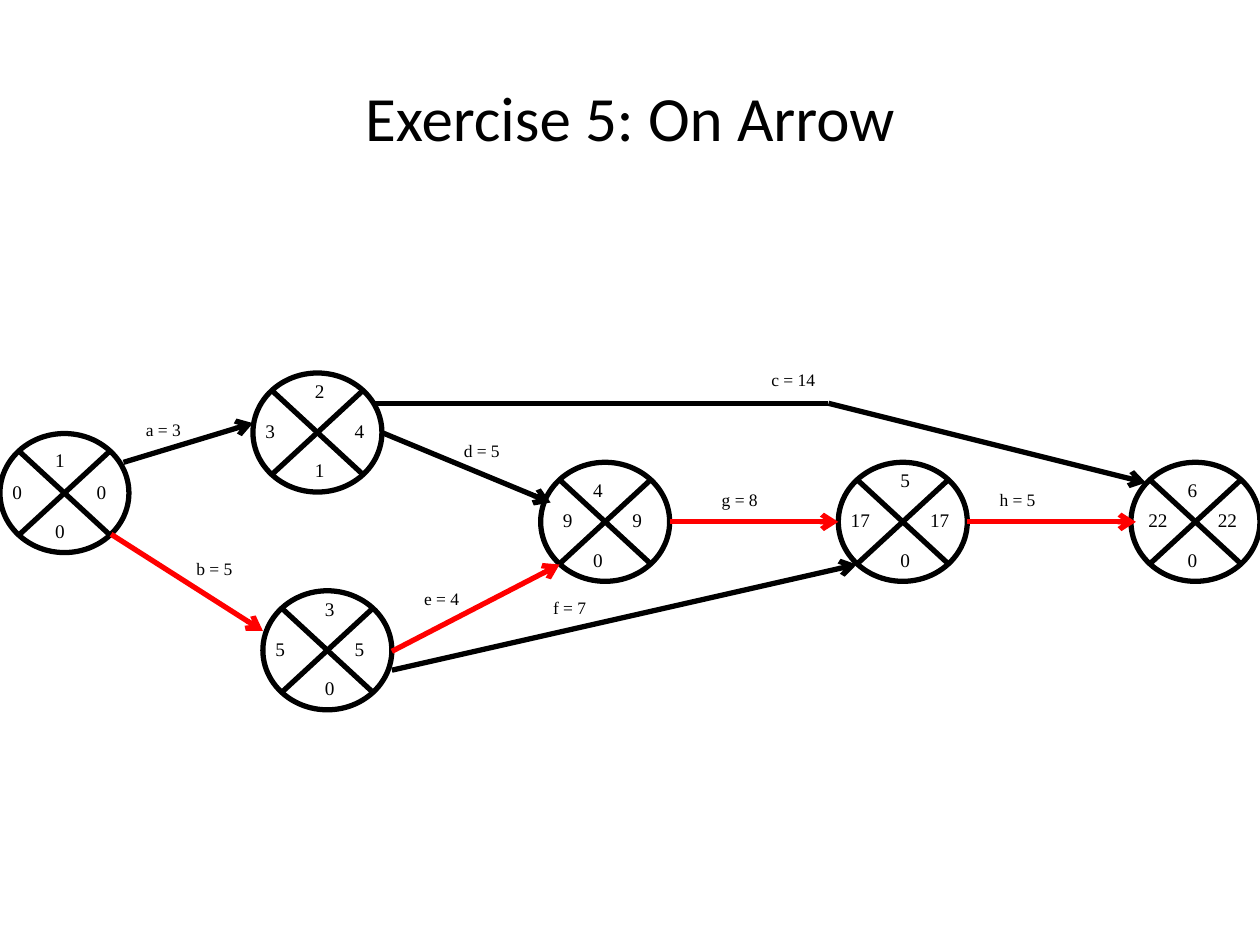
from lxml.etree import SubElement
from pptx import Presentation
from pptx.dml.color import RGBColor
from pptx.enum.shapes import MSO_CONNECTOR, MSO_SHAPE
from pptx.enum.text import MSO_ANCHOR, PP_ALIGN
from pptx.oxml.ns import qn
from pptx.util import Cm, Pt

COLORS = {"ink": "000000", "critical": "FF0000"}
NODE_W, NODE_H = 2.6, 2.4
SIDE_DY, BOTTOM_DY = 0.81, 1.6

# x, y, (left, top, right, bottom) values, (left, middle, right) offsets, top offset
NODES = [
    (0, 8.74, ("0", "1", "0", "0"), (0, 0.86, 1.7), 0.18),
    (5.3, 11.91, ("5", "3", "5", "0"), (0, 1, 1.6), 0),
    (5.1, 7.52, ("3", "2", "4", "1"), (0, 1, 1.8), 0),
    (10.9, 9.32, ("9", "4", "9", "0"), (0.2, 0.81, 1.6), 0.2),
    (16.9, 9.32, ("17", "5", "17", "0"), (0, 1, 1.6), 0),
    (22.8, 9.32, ("22", "6", "22", "0"), (0.1, 0.89, 1.5), 0.2),
]

ACTIVITIES = [
    ("a = 3", 2.69, 8.33), ("b = 5", 3.71, 11.13), ("c = 14", 15.3, 7.32),
    ("d = 5", 9.1, 8.74), ("e = 4", 8.3, 11.73), ("f = 7", 10.9, 11.91),
    ("g = 8", 14.3, 9.73), ("h = 5", 19.9, 9.73),
]

# start, end, colour, has arrowhead
ARROWS = [
    ((2.49, 9.32), (5.1, 8.53), "ink", True),
    ((2.24, 10.77), (5.3, 12.72), "critical", True),
    ((7.7, 8.72), (11.1, 10.13), "ink", True),
    ((7.9, 13.13), (11.28, 11.38), "critical", True),
    ((13.5, 10.52), (16.9, 10.52), "critical", True),
    ((19.5, 10.52), (22.9, 10.52), "critical", True),
    ((7.5, 8.13), (16.7, 8.13), "ink", False),
    ((16.7, 8.13), (23.1, 9.73), "ink", True),
    ((7.9, 13.51), (17.27, 11.38), "ink", True),
]


def color(name):
    return RGBColor.from_string(COLORS[name])


def write(tf, text, font="Times New Roman", size=11, align=PP_ALIGN.LEFT):
    p = tf.paragraphs[0]
    p.alignment = align
    r = p.add_run()
    r.text = text
    r.font.name = font
    r.font.size = Pt(size)
    r.font.color.rgb = color("ink")


class Diagram:
    line_width = Pt(3)

    def __init__(self, slide):
        self.s = slide

    def text(self, text, x, y, w, h, anchor=MSO_ANCHOR.TOP, **fmt):
        tf = self.s.shapes.add_textbox(Cm(x), Cm(y), Cm(w), Cm(h)).text_frame
        tf.word_wrap = True
        tf.vertical_anchor = anchor
        write(tf, text, **fmt)

    def node(self, x, y):
        sp = self.s.shapes.add_shape(MSO_SHAPE.FLOWCHART_SUMMING_JUNCTION,
                                     Cm(x), Cm(y), Cm(NODE_W), Cm(NODE_H))
        sp.shadow.inherit = False
        sp.fill.background()
        sp.line.color.rgb = color("ink")
        sp.line.width = self.line_width

    def node_values(self, x, y, values, offsets, top_dy):
        left, middle, right = offsets
        places = [(left, SIDE_DY), (middle, top_dy),
                  (right, SIDE_DY), (middle, BOTTOM_DY)]
        for value, (dx, dy) in zip(values, places):
            self.text(value, x + dx, y + dy, 0.8 if len(value) == 1 else 1.05, 0.73)

    def arrow(self, start, end, hue, head):
        ends = [Cm(v) for v in (*start, *end)]
        cxn = self.s.shapes.add_connector(MSO_CONNECTOR.STRAIGHT, *ends)
        cxn.line.color.rgb = color(hue)
        cxn.line.width = self.line_width
        if head:
            SubElement(cxn.line._get_or_add_ln(), qn("a:tailEnd"), type="arrow")
        SubElement(cxn._element.spPr, qn("a:effectLst"))


def main():
    prs = Presentation()
    prs.slide_width, prs.slide_height = Cm(25.4), Cm(19.05)
    diagram = Diagram(prs.slides.add_slide(prs.slide_layouts[6]))

    diagram.text("Exercise 5: On Arrow", 1.27, 0.76, 22.86, 3.18, MSO_ANCHOR.MIDDLE,
                 font="Calibri", size=36, align=PP_ALIGN.CENTER)
    for x, y, *_ in NODES:
        diagram.node(x, y)
    for label, x, y in ACTIVITIES:
        diagram.text(label, x, y, 1.6, 0.69, size=10)
    for arrow in ARROWS:
        diagram.arrow(*arrow)
    for node in NODES:
        diagram.node_values(*node)

    prs.save("out.pptx")


if __name__ == "__main__":
    main()
